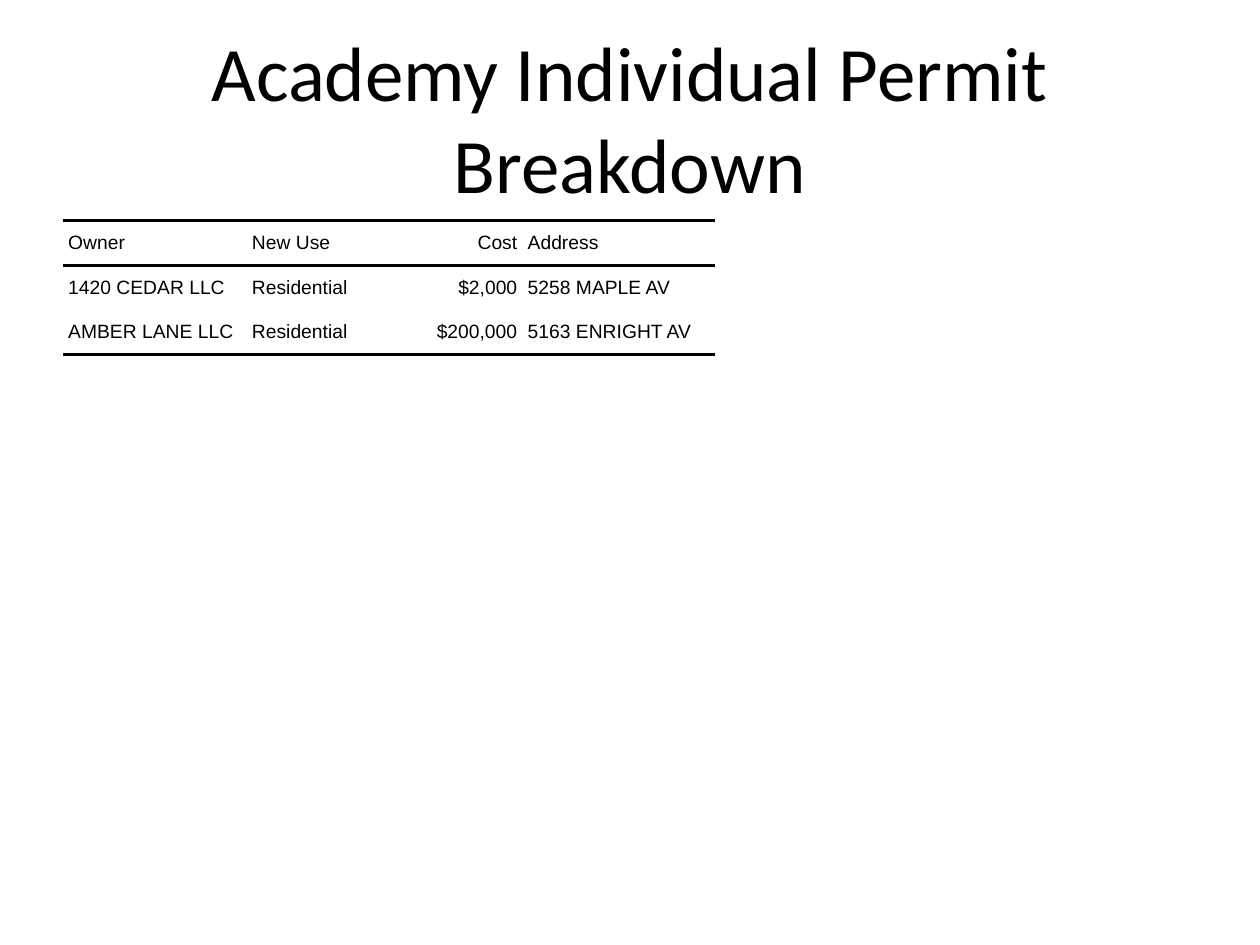
from lxml import etree
from pptx import Presentation
from pptx.dml.color import RGBColor
from pptx.enum import text
from pptx.oxml import ns
from pptx.util import Pt

BLACK = "000000"
COLUMN_WIDTHS = (105, 70, 87.6, 110)
ROW_HEIGHTS = (25.6, 25.4, 25.4)
COST_COLUMN = 2
PERMITS = (
    ("Owner", "New Use", "Cost", "Address"),
    ("1420 CEDAR LLC", "Residential", "$2,000", "5258 MAPLE AV"),
    ("AMBER LANE LLC", "Residential", "$200,000", "5163 ENRIGHT AV"),
)
RULED_EDGES = (0, 1, len(PERMITS))
PLAIN_STYLE = "{2D5ABB26-0587-4C30-8999-92F81FD0307C}"


def color(value):
    """Turn a hex string into a colour."""
    return RGBColor.from_string(value)


def style_font(paragraph, name, size):
    """Set the black font of a paragraph."""
    paragraph.font.name = name
    paragraph.font.size = Pt(size)
    paragraph.font.color.rgb = color(BLACK)


def add_heading(slide, left, top, width, height):
    """Add the centred slide heading."""
    frame = slide.shapes.add_textbox(Pt(left), Pt(top), Pt(width), Pt(height)).text_frame
    frame.word_wrap = True
    frame.vertical_anchor = text.MSO_ANCHOR.MIDDLE
    heading = frame.paragraphs[0]
    heading.text = "Academy Individual Permit Breakdown"
    heading.alignment = text.PP_ALIGN.CENTER
    style_font(heading, "Calibri", 44)


def set_edge(cell, side, ruled):
    """Draw a two-point rule along the lnT or lnB side of a cell, or clear it."""
    properties = cell._tc.get_or_add_tcPr()
    edge = etree.SubElement(properties, ns.qn(f"a:{side}"))
    if ruled:
        edge.set("w", str(Pt(2)))
        fill = etree.SubElement(edge, ns.qn("a:solidFill"))
        etree.SubElement(fill, ns.qn("a:srgbClr"), val=BLACK)
    else:
        edge.set("w", "0")
        etree.SubElement(edge, ns.qn("a:noFill"))


def fill_cell(cell, wording, align):
    """Write one table cell on a clear ground."""
    cell.margin_left = cell.margin_right = Pt(3)
    cell.margin_top = cell.margin_bottom = Pt(0)
    cell.vertical_anchor = text.MSO_ANCHOR.MIDDLE
    entry = cell.text_frame.paragraphs[0]
    entry.text = wording
    entry.alignment = align
    style_font(entry, "Arial", 11)
    cell.fill.background()


def add_permits(slide, left, top):
    """Add the permit table with rules around its header and below its last row."""
    frame = slide.shapes.add_table(
        len(PERMITS), len(COLUMN_WIDTHS), Pt(left), Pt(top),
        Pt(sum(COLUMN_WIDTHS)), Pt(sum(ROW_HEIGHTS)))
    permits = frame.table
    permits.first_row = permits.horz_banding = False
    permits._tbl.tblPr.find(ns.qn("a:tableStyleId")).text = PLAIN_STYLE
    for column, width in zip(permits.columns, COLUMN_WIDTHS):
        column.width = Pt(width)
    for r, (height, record) in enumerate(zip(ROW_HEIGHTS, PERMITS)):
        permits.rows[r].height = Pt(height)
        for c, wording in enumerate(record):
            cell = permits.cell(r, c)
            set_edge(cell, "lnT", r in RULED_EDGES)
            set_edge(cell, "lnB", r + 1 in RULED_EDGES)
            align = text.PP_ALIGN.RIGHT if c == COST_COLUMN else text.PP_ALIGN.LEFT
            fill_cell(cell, wording, align)


def main():
    """Build and save the slide."""
    deck = Presentation()
    deck.slide_width, deck.slide_height = Pt(720), Pt(540)
    slide = deck.slides.add_slide(deck.slide_layouts[6])
    add_heading(slide, 36, 21.6, 648, 90)
    add_permits(slide, 36, 126)
    deck.save("out.pptx")


if __name__ == "__main__":
    main()
